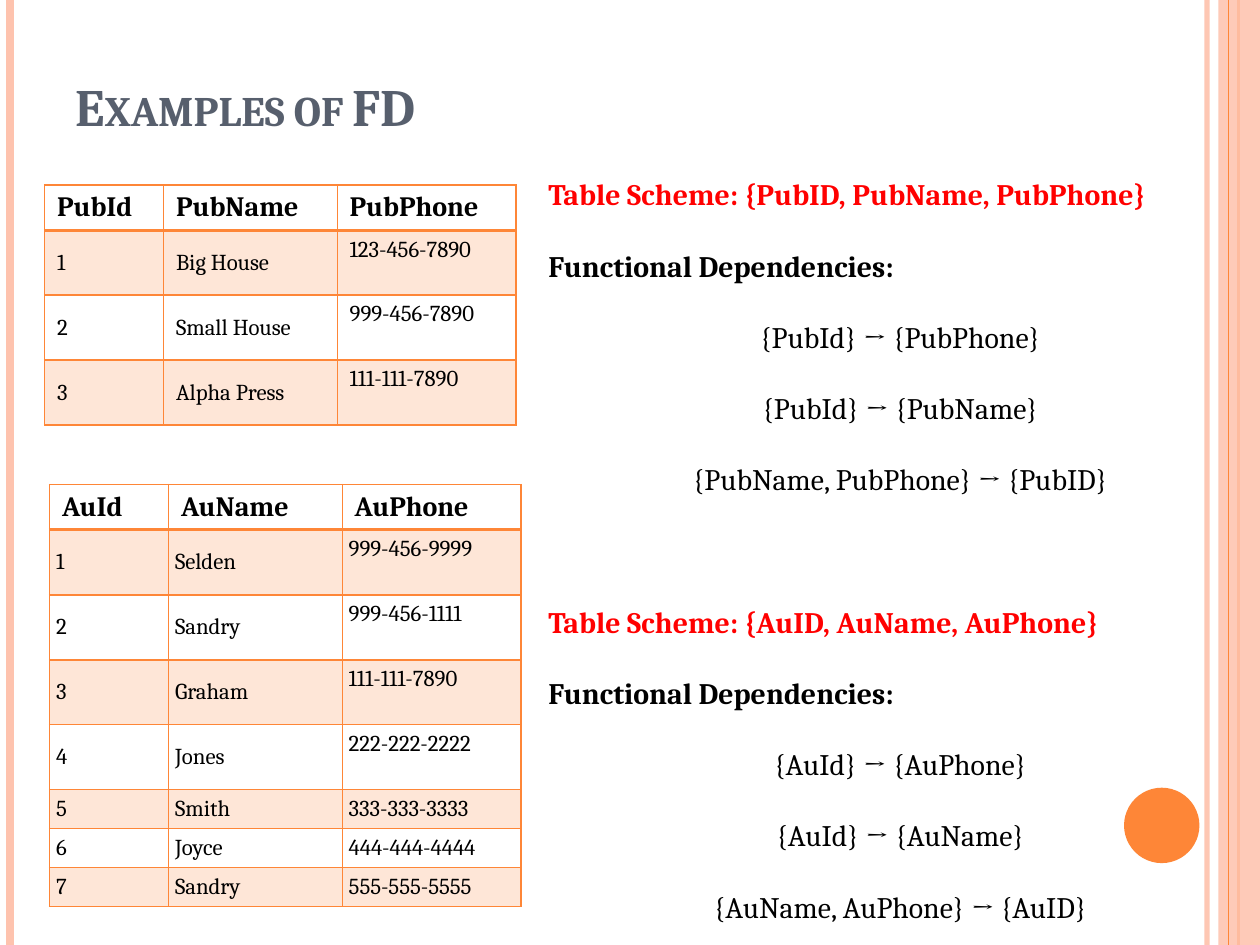
from dataclasses import dataclass

from lxml import etree
from pptx import Presentation
from pptx.dml.color import RGBColor
from pptx.enum.shapes import MSO_CONNECTOR, MSO_SHAPE
from pptx.enum.text import MSO_ANCHOR, MSO_AUTO_SIZE, PP_ALIGN
from pptx.oxml.ns import qn
from pptx.util import Cm, Pt

STRAIGHT = MSO_CONNECTOR.STRAIGHT
RECTANGLE, OVAL = MSO_SHAPE.RECTANGLE, MSO_SHAPE.OVAL
TOP, MIDDLE, BOTTOM = MSO_ANCHOR.TOP, MSO_ANCHOR.MIDDLE, MSO_ANCHOR.BOTTOM
LEFT, CENTER, JUSTIFY = PP_ALIGN.LEFT, PP_ALIGN.CENTER, PP_ALIGN.JUSTIFY
FIXED_SIZE = MSO_AUTO_SIZE.NONE

FONT = "Cambria"
ORANGE, PEACH, SLATE = "FE8637", "FEC3AE", "575F6D"
RED, BLACK = "FF0000", "000000"
WIDTH, HEIGHT = 25.4, 19.05
HEADER_ROW, TALL_ROW, SHORT_ROW = 0.91, 1.31, 0.78
COLUMNS = (2.4, 3.5, 3.6)
LINE_GAP, BLOCK_GAP = 6, 46.7


@dataclass
class Stripe:
    x: float
    weight: float
    color: str
    opacity: int = 100


@dataclass
class Relation:
    left: float
    top: float
    inset: float
    tall_rows: int
    header: tuple[str, ...]
    rows: list[tuple[str, ...]]


@dataclass
class Scheme:
    columns: str
    dependencies: list[str]


BACK_STRIPES = [
    Stripe(24.33, 3, PEACH, 93),
    Stripe(0.2, 4.5, PEACH),
    Stripe(24.97, 1.5, ORANGE),
]
FRONT_STRIPE = Stripe(24.77, 0.75, ORANGE)
PUBLISHERS = Relation(0.9, 3.73, 0.25, 3, ("PubId", "PubName", "PubPhone"), [
    ("1", "Big House", "123-456-7890"),
    ("2", "Small House", "999-456-7890"),
    ("3", "Alpha Press", "111-111-7890"),
])
AUTHORS = Relation(1, 9.77, 0.13, 4, ("AuId", "AuName", "AuPhone"), [
    ("1", "Selden", "999-456-9999"),
    ("2", "Sandry", "999-456-1111"),
    ("3", "Graham", "111-111-7890"),
    ("4", "Jones", "222-222-2222"),
    ("5", "Smith", "333-333-3333"),
    ("6", "Joyce", "444-444-4444"),
    ("7", "Sandry", "555-555-5555"),
])
SCHEMES = [
    Scheme("{PubID, PubName, PubPhone}", [
        "{PubId} → {PubPhone}", "{PubId} → {PubName}", "{PubName, PubPhone} → {PubID}"]),
    Scheme("{AuID, AuName, AuPhone}", [
        "{AuId} → {AuPhone}", "{AuId} → {AuName}", "{AuName, AuPhone} → {AuID}"]),
]


def paint(color_format, color: str) -> None:
    color_format.rgb = RGBColor.from_string(color)


def set_opacity(properties, percent: int) -> None:
    color = next(properties.iter(qn("a:srgbClr")))
    etree.SubElement(color, qn("a:alpha")).set("val", str(percent * 1000))


def format_text(para, size: float, color: str, bold: bool) -> None:
    for span in para.runs:
        span.font.name, span.font.size, span.font.bold = FONT, Pt(size), bold
        paint(span.font.color, color)


def place(shape, left: float, top: float, width: float, height: float) -> None:
    shape.left, shape.top, shape.width, shape.height = map(Cm, (left, top, width, height))


def add_stripe(page, stripe: Stripe) -> None:
    connector = page.shapes.add_connector(
        STRAIGHT, Cm(stripe.x), Cm(0), Cm(stripe.x), Cm(HEIGHT))
    paint(connector.line.color, stripe.color)
    connector.line.width = Pt(stripe.weight)
    properties = connector._element.spPr
    if stripe.opacity < 100:
        set_opacity(properties, stripe.opacity)
    etree.SubElement(properties, qn("a:effectLst"))


def add_plain_shape(page, kind, color: str, *area: float):
    shape = page.shapes.add_shape(kind, *map(Cm, area))
    shape.shadow.inherit = False
    shape.fill.solid()
    paint(shape.fill.fore_color, color)
    shape.line.fill.background()
    return shape


def add_borders(cell, bottom_weight: float) -> None:
    properties = cell._tc.get_or_add_tcPr()
    weights = {"lnL": 1, "lnR": 1, "lnT": 1, "lnB": bottom_weight}
    for side, weight in weights.items():
        line = etree.SubElement(properties, qn(f"a:{side}"), w=str(Pt(weight)))
        fill = etree.SubElement(line, qn("a:solidFill"))
        etree.SubElement(fill, qn("a:srgbClr"), val=ORANGE)


def add_relation(page, relation: Relation) -> None:
    rows = [relation.header, *relation.rows]
    short_rows = len(relation.rows) - relation.tall_rows
    heights = [HEADER_ROW] + [TALL_ROW] * relation.tall_rows + [SHORT_ROW] * short_rows
    table = page.shapes.add_table(
        len(rows), len(COLUMNS), Cm(relation.left), Cm(relation.top),
        Cm(sum(COLUMNS)), Cm(sum(heights))).table
    table.horz_banding = False
    for column, width in zip(table.columns, COLUMNS):
        column.width = Cm(width)
    for r, (values, height) in enumerate(zip(rows, heights)):
        table.rows[r].height = Cm(height)
        is_header = r == 0
        for c, value in enumerate(values):
            cell = table.cell(r, c)
            cell.text = value
            cell.margin_left = cell.margin_right = Cm(0.25 if is_header else relation.inset)
            cell.margin_top = cell.margin_bottom = Cm(0.13)
            # Phone numbers sit at the top of the tall rows
            is_raised = c == len(values) - 1 and height == TALL_ROW
            cell.vertical_anchor = TOP if is_raised else MIDDLE
            format_text(cell.text_frame.paragraphs[0], 16 if is_header else 13,
                        BLACK, is_header)
            add_borders(cell, 2 if is_header else 1)
            if r % 2:
                cell.fill.solid()
                paint(cell.fill.fore_color, ORANGE)
                set_opacity(cell._tc.tcPr.find(qn("a:solidFill")), 20)
            else:
                cell.fill.background()


def fill_title(title) -> None:
    place(title, 1.27, -0.28, 20.75, 3.18)
    frame = title.text_frame
    frame.text = "Examples of FD"
    frame.vertical_anchor, frame.auto_size = BOTTOM, FIXED_SIZE
    para = frame.paragraphs[0]
    para.alignment = LEFT
    format_text(para, 30, SLATE, True)
    para.runs[0].font._element.set("cap", "small")


def fill_body(body) -> None:
    place(body, 10.8, 2.92, 14.7, 13.54)
    lines = []
    for index, scheme in enumerate(SCHEMES):
        lines.append((f"Table Scheme: {scheme.columns}", RED, True, JUSTIFY,
                      BLOCK_GAP if index else LINE_GAP))
        lines.append(("Functional Dependencies:", BLACK, True, JUSTIFY, LINE_GAP))
        lines += [(text, BLACK, False, CENTER, LINE_GAP) for text in scheme.dependencies]
    frame = body.text_frame
    frame.text = "\n".join(line[0] for line in lines)
    frame.vertical_anchor, frame.auto_size = TOP, FIXED_SIZE
    for para, (_, color, bold, alignment, gap) in zip(frame.paragraphs, lines):
        para.alignment, para.line_spacing, para.space_before = alignment, 1.7, Pt(gap)
        properties = para._p.get_or_add_pPr()
        properties.set("marL", "0")
        properties.set("indent", "0")
        etree.SubElement(properties, qn("a:buNone"))
        format_text(para, 17, color, bold)


def main() -> None:
    deck = Presentation()
    deck.slide_width, deck.slide_height = Cm(WIDTH), Cm(HEIGHT)
    page = deck.slides.add_slide(deck.slide_layouts[1])
    title, body = page.placeholders

    # Side decoration
    for stripe in BACK_STRIPES:
        add_stripe(page, stripe)
    band = add_plain_shape(page, RECTANGLE, PEACH, 24.56, 0, 0.84, HEIGHT)
    set_opacity(band._element.spPr, 87)
    add_stripe(page, FRONT_STRIPE)
    add_plain_shape(page, OVAL, ORANGE, 22.66, 15.88, 1.52, 1.52)

    # Title and dependencies, in front of the decoration
    for holder, fill in ((title, fill_title), (body, fill_body)):
        fill(holder)
        page.shapes._spTree.append(holder._element)

    # Example tables
    for relation in (PUBLISHERS, AUTHORS):
        add_relation(page, relation)

    deck.save("out.pptx")


if __name__ == "__main__":
    main()
